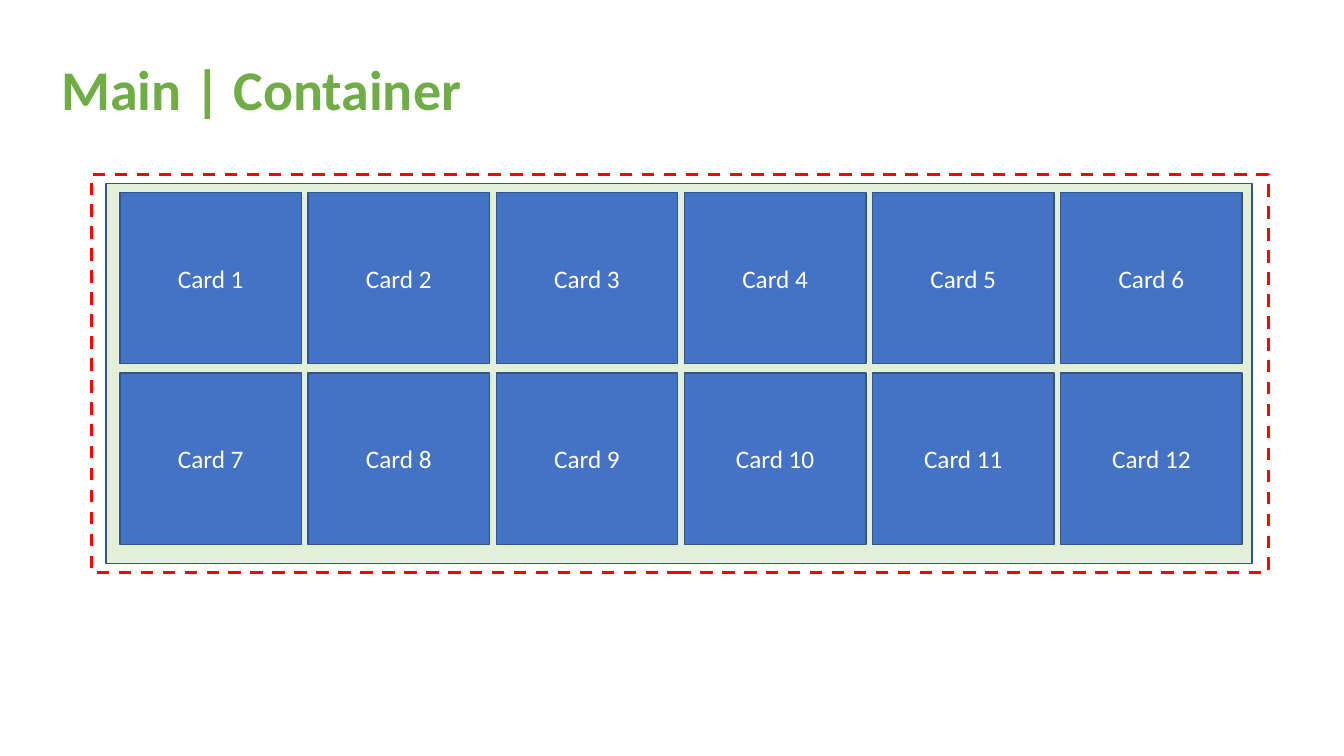
from dataclasses import dataclass
from typing import Optional

import pptx
import pptx.dml.color
import pptx.enum.dml
import pptx.enum.shapes
import pptx.enum.text
import pptx.shapes.autoshape
import pptx.slide
import pptx.util

Inches = pptx.util.Inches
RGBColor = pptx.dml.color.RGBColor
Alignment = pptx.enum.text.PP_ALIGN
Anchor = pptx.enum.text.MSO_ANCHOR

RED = RGBColor(0xFF, 0x00, 0x00)
PALE_GREEN = RGBColor(0xE2, 0xF0, 0xD9)
GREEN = RGBColor(0x70, 0xAD, 0x47)
BLUE = RGBColor(0x44, 0x72, 0xC4)
DARK_BLUE = RGBColor(0x32, 0x54, 0x91)
WHITE = RGBColor(0xFF, 0xFF, 0xFF)

COLUMNS = 6
ROWS = 2
FIRST_LEFT, LAST_LEFT = 1.19, 10.52
FIRST_TOP, LAST_TOP = 1.91, 3.70
CARD_WIDTH, CARD_HEIGHT = 1.80, 1.70


@dataclass
class Box:
    left: float
    top: float
    width: float
    height: float
    fill: Optional[RGBColor] = BLUE
    line: RGBColor = DARK_BLUE
    line_width: float = 1
    dashed: bool = False
    text: str = ""


def write_text(shape: pptx.shapes.autoshape.Shape, text: str, *, size: float,
               color: RGBColor, bold: bool = False,
               alignment: Alignment = Alignment.LEFT,
               anchor: Anchor = Anchor.MIDDLE, wrap: bool = True) -> None:
    frame = shape.text_frame
    frame.word_wrap = wrap
    frame.vertical_anchor = anchor
    frame.auto_size = pptx.enum.text.MSO_AUTO_SIZE.NONE
    paragraph = frame.paragraphs[0]
    paragraph.alignment = alignment
    paragraph.line_spacing = 1.0
    run = paragraph.add_run()
    run.text = text
    run.font.name = "Calibri"
    run.font.size = pptx.util.Pt(size)
    run.font.bold = bold
    run.font.color.rgb = color


def draw_box(slide: pptx.slide.Slide, box: Box) -> None:
    shape = slide.shapes.add_shape(
        pptx.enum.shapes.MSO_SHAPE.RECTANGLE,
        Inches(box.left), Inches(box.top), Inches(box.width), Inches(box.height))
    shape.shadow.inherit = False
    if box.fill is None:
        shape.fill.background()
    else:
        shape.fill.solid()
        shape.fill.fore_color.rgb = box.fill
    shape.line.color.rgb = box.line
    shape.line.width = pptx.util.Pt(box.line_width)
    if box.dashed:
        shape.line.dash_style = pptx.enum.dml.MSO_LINE.DASH
    if box.text:
        write_text(shape, box.text, size=18, color=WHITE, alignment=Alignment.CENTER)


def card(index: int) -> Box:
    row, column = divmod(index, COLUMNS)
    return Box(
        FIRST_LEFT + column * (LAST_LEFT - FIRST_LEFT) / (COLUMNS - 1),
        FIRST_TOP + row * (LAST_TOP - FIRST_TOP) / (ROWS - 1),
        CARD_WIDTH, CARD_HEIGHT, text=f"Card {index + 1}")


def add_title(slide: pptx.slide.Slide, text: str) -> None:
    title = slide.shapes.title
    title.left, title.top = Inches(0.51), Inches(0.49)
    title.width, title.height = Inches(4.52), Inches(0.77)
    write_text(title, text, size=40, color=GREEN, bold=True,
               anchor=Anchor.TOP, wrap=False)


def main() -> None:
    presentation = pptx.Presentation()
    presentation.slide_width = Inches(13.33)
    presentation.slide_height = Inches(7.5)
    slide = presentation.slides.add_slide(presentation.slide_layouts[5])

    add_title(slide, "Main | Container")
    main_frame = Box(0.91, 1.73, 11.67, 3.95, fill=None, line=RED,
                     line_width=2.25, dashed=True)
    container = Box(1.05, 1.82, 11.37, 3.77, fill=PALE_GREEN)
    cards = [card(index) for index in range(ROWS * COLUMNS)]
    for box in [main_frame, container, *cards]:
        draw_box(slide, box)

    presentation.save("out.pptx")


if __name__ == "__main__":
    main()
